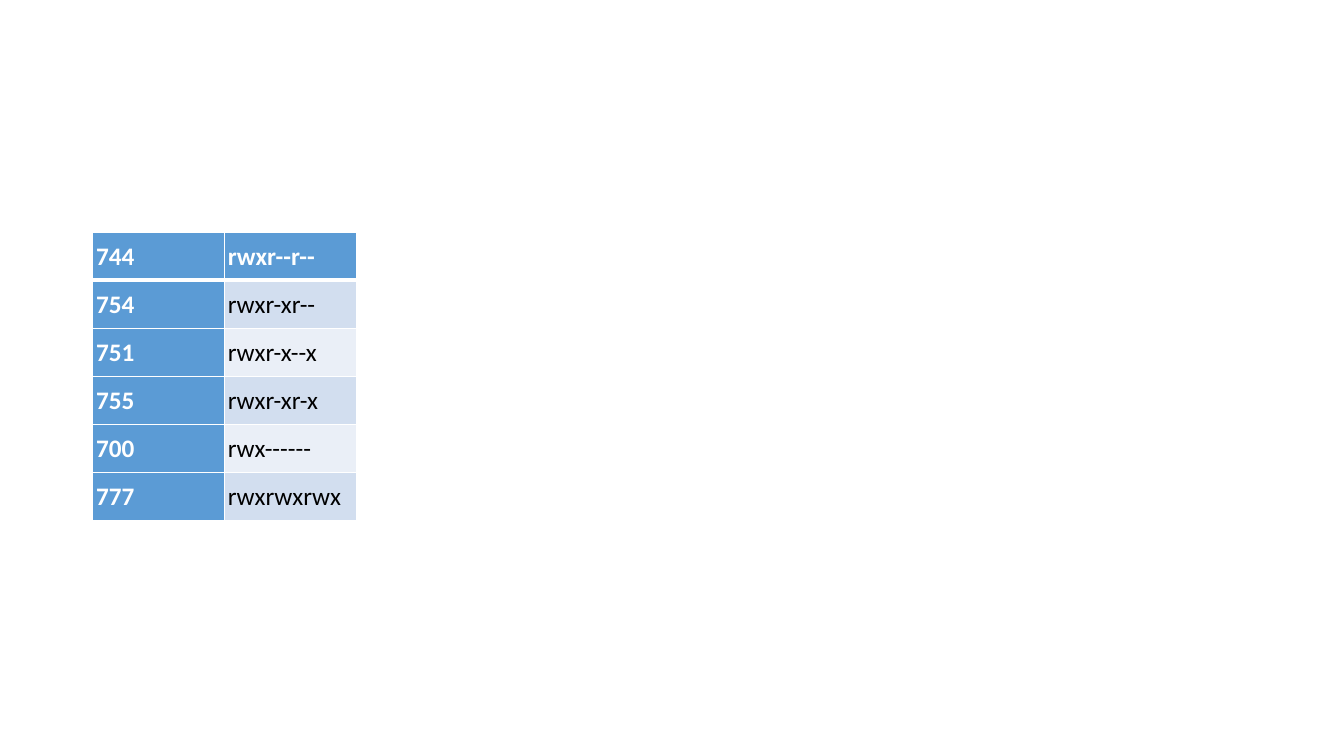
from lxml.etree import SubElement
from pptx import Presentation
from pptx.dml.color import RGBColor
from pptx.enum.text import MSO_ANCHOR
from pptx.oxml import parse_xml
from pptx.oxml.ns import nsdecls, qn
from pptx.util import Cm, Pt

COLOURS = {
    "head": "5B9BD5",
    "odd_band": "D2DEEF",
    "even_band": "EAEFF7",
    "light": "FFFFFF",
    "dark": "000000",
}

PERMISSIONS = [
    ("744", "rwxr--r--"),
    ("754", "rwxr-xr--"),
    ("751", "rwxr-x--x"),
    ("755", "rwxr-xr-x"),
    ("700", "rwx------"),
    ("777", "rwxrwxrwx"),
]


class Page:
    """Holds the style and the current slide."""

    font = "Calibri"
    size = Pt(18)
    inset = Cm(0.08)

    def __init__(self, deck):
        self.slide = deck.slides.add_slide(deck.slide_layouts[6])

    def colour(self, name):
        return RGBColor.from_string(COLOURS[name])

    def border(self, cell, widths):
        """Draw the cell's edges, given as side: points."""
        properties = cell._tc.get_or_add_tcPr()
        for position, side in enumerate("LRTB"):
            line = parse_xml(f'<a:ln{side} {nsdecls("a")} w="{Pt(widths[side])}"/>')
            fill = SubElement(line, qn("a:solidFill"))
            SubElement(fill, qn("a:srgbClr"), val=COLOURS["light"])
            properties.insert(position, line)

    def cell(self, cell, text, fill, ink, bold):
        cell.fill.solid()
        cell.fill.fore_color.rgb = self.colour(fill)
        cell.vertical_anchor = MSO_ANCHOR.MIDDLE
        cell.margin_left = cell.margin_right = self.inset
        cell.margin_top = cell.margin_bottom = self.inset
        cell.text_frame.text = text
        para = cell.text_frame.paragraphs[0]
        para.line_spacing = 1.07
        span = para.runs[0]
        span.font.name = self.font
        span.font.size = self.size
        span.font.bold = bold
        span.font.color.rgb = self.colour(ink)

    def table(self, rows, left, top, column_width, row_height):
        columns = len(rows[0])
        table = self.slide.shapes.add_table(
            len(rows), columns, left, top,
            column_width * columns, row_height * len(rows)).table
        table.first_col = True
        for r, row in enumerate(rows):
            for c, text in enumerate(row):
                is_head = r == 0 or c == 0
                band = "odd_band" if r % 2 else "even_band"
                cell = table.cell(r, c)
                self.cell(cell, text,
                          fill="head" if is_head else band,
                          ink="light" if is_head else "dark",
                          bold=is_head)
                # Thick rule under the first row
                self.border(cell, {"L": 1, "R": 1,
                                   "T": 3 if r == 1 else 1,
                                   "B": 3 if r == 0 else 1})


def main():
    deck = Presentation()
    deck.slide_width, deck.slide_height = Cm(33.87), Cm(19.05)

    # Octal modes beside their symbolic form
    page = Page(deck)
    page.table(PERMISSIONS, Cm(2.34), Cm(5.85), Cm(3.32), Cm(1.21))

    deck.save("out.pptx")


if __name__ == "__main__":
    main()
